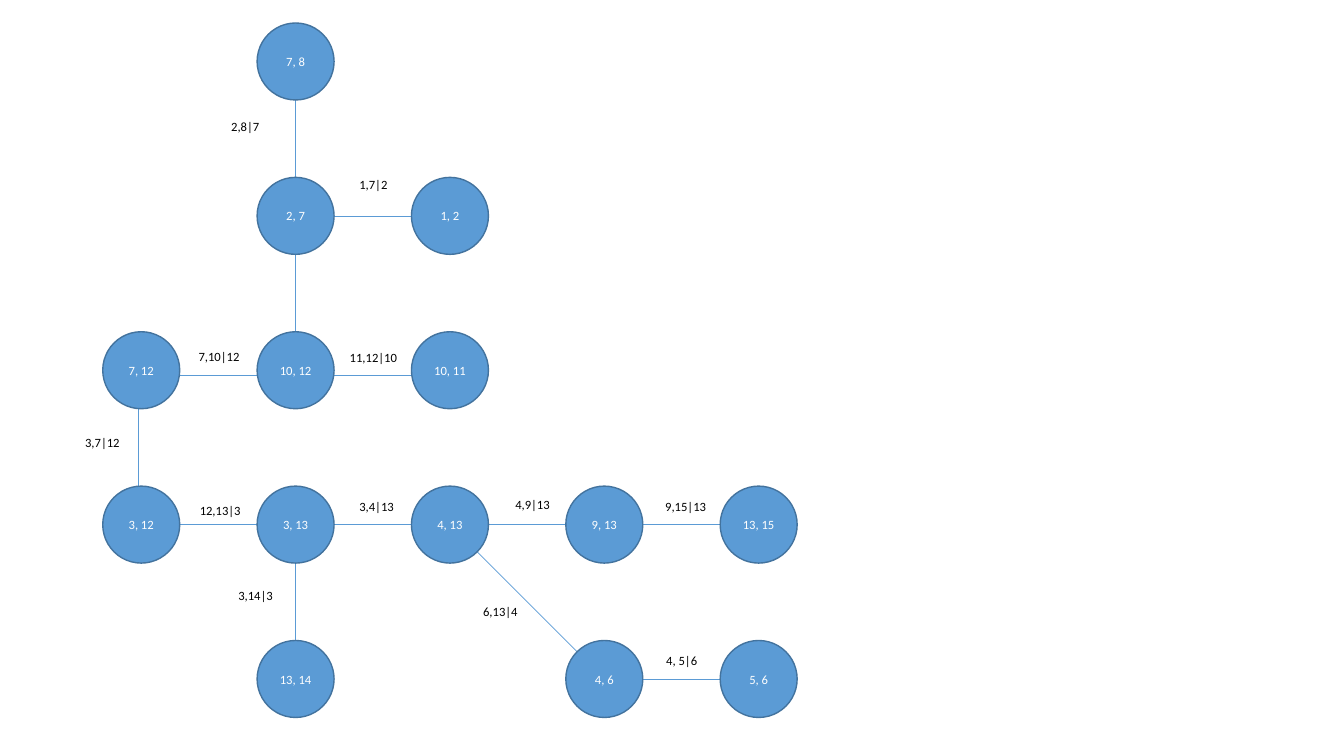
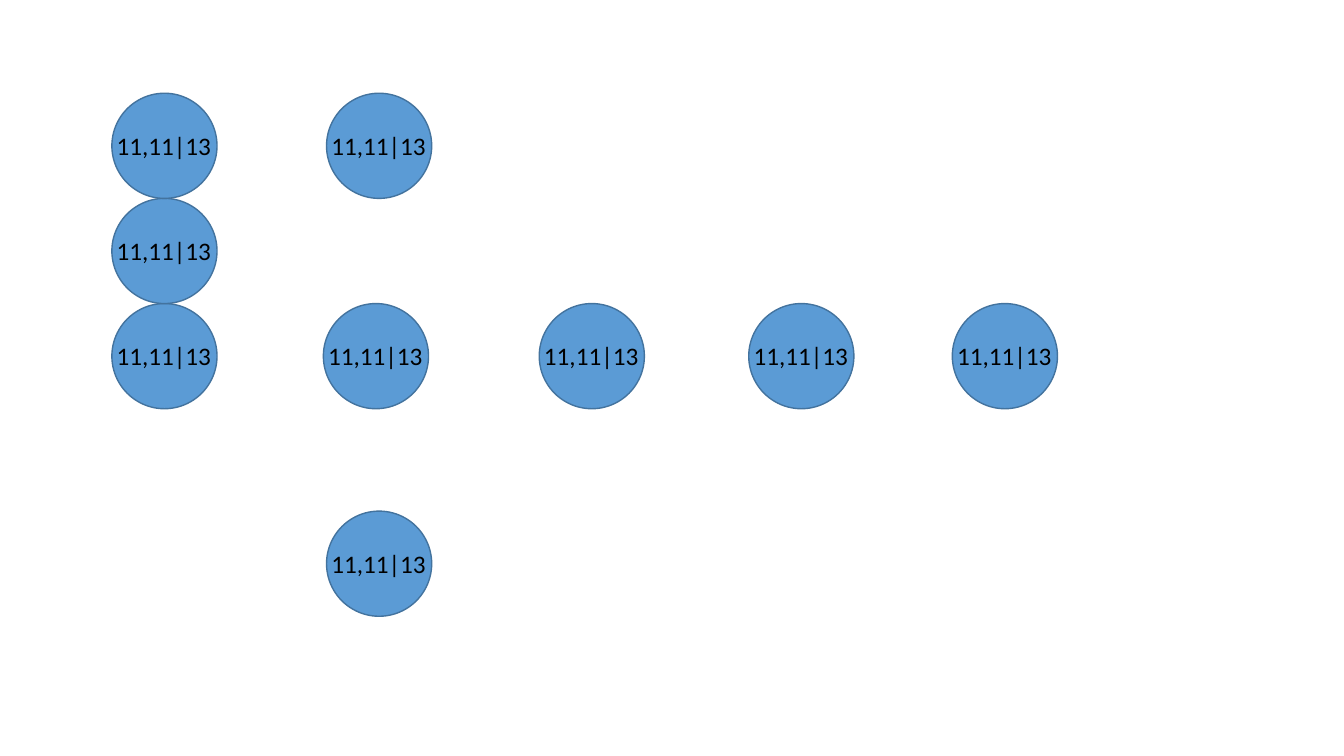
from lxml import etree
from pptx import Presentation
from pptx.dml.color import RGBColor
from pptx.enum.shapes import MSO_CONNECTOR, MSO_SHAPE
from pptx.enum.text import MSO_ANCHOR, MSO_AUTO_SIZE, PP_ALIGN
from pptx.oxml.ns import qn
from pptx.util import Cm, Pt

STRAIGHT = MSO_CONNECTOR.STRAIGHT
OVAL = MSO_SHAPE.OVAL
TOP, MIDDLE = MSO_ANCHOR.TOP, MSO_ANCHOR.MIDDLE
GROW = MSO_AUTO_SIZE.SHAPE_TO_FIT_TEXT
LEFT, CENTER = PP_ALIGN.LEFT, PP_ALIGN.CENTER

BLUE = RGBColor(0x5B, 0x9B, 0xD5)
DARK_BLUE = RGBColor(0x43, 0x73, 0x9E)
WHITE = RGBColor(0xFF, 0xFF, 0xFF)
BLACK = RGBColor(0x00, 0x00, 0x00)
FONT = "Calibri"

# Grid of the tree, in cm: centre of the first cell and distance between cells
FIRST_X, FIRST_Y, PITCH = 3.56, 1.55, 3.89
NODE_SIZE = 1.94
LABEL_WIDTH, LABEL_HEIGHT = 2.97, 0.64

# Clique: (column, row)
NODES = {
    "7, 12": (0, 2), "3, 12": (0, 3),
    "7, 8": (1, 0), "2, 7": (1, 1), "10, 12": (1, 2),
    "3, 13": (1, 3), "13, 14": (1, 4),
    "1, 2": (2, 1), "10, 11": (2, 2), "4, 13": (2, 3),
    "9, 13": (3, 3), "4, 6": (3, 4),
    "13, 15": (4, 3), "5, 6": (4, 4),
}

# Linked cliques, and the shift of the line from their centres in cm
EDGES = [
    ("7, 12", "3, 12", -0.08, 0),
    ("7, 12", "10, 12", 0, 0.12),
    ("10, 12", "10, 11", 0, 0.12),
    ("2, 7", "10, 12", 0, 0),
    ("7, 8", "2, 7", 0, 0),
    ("2, 7", "1, 2", 0, 0.02),
    ("3, 12", "3, 13", 0, 0),
    ("3, 13", "4, 13", 0, 0),
    ("4, 13", "9, 13", 0, 0),
    ("9, 13", "13, 15", 0, 0),
    ("4, 13", "4, 6", 0, 0),
    ("4, 6", "5, 6", 0, 0),
    ("3, 13", "13, 14", 0, 0),
]

# Independence statement and its centre in cm
EDGE_LABELS = [
    ("2,8|7", 6.18, 3.19), ("1,7|2", 9.41, 4.66),
    ("7,10|12", 5.52, 8.98), ("3,7|12", 2.58, 11.16),
    ("11,12|10", 9.41, 9.0), ("12,13|3", 5.55, 12.87),
    ("3,14|3", 6.44, 15.02), ("3,4|13", 9.49, 12.76),
    ("4,9|13", 13.42, 12.71), ("6,13|4", 12.61, 15.41),
    ("9,15|13", 17.28, 12.76), ("4, 5|6", 17.18, 16.65),
]

# Large circles: size, text and top left corners in cm
SPARE_SIZE = 2.65
SPARE_TEXT = "11,11|13"
SPARE_CORNERS = [
    (2.82, 7.65), (2.82, 5.0), (2.82, 2.35),
    (8.15, 7.65), (8.23, 2.35), (13.59, 7.65),
    (8.23, 12.88), (18.87, 7.65), (24.0, 7.65),
]


def write(frame, text, size=9, color=BLACK, align=CENTER, anchor=TOP):
    frame.word_wrap = True
    frame.vertical_anchor = anchor
    paragraph = frame.paragraphs[0]
    paragraph.alignment = align
    run = paragraph.add_run()
    run.text = text
    run.font.name = FONT
    run.font.size = Pt(size)
    run.font.color.rgb = color


def add_circle(shapes, left, top, size):
    circle = shapes.add_shape(OVAL, Cm(left), Cm(top), Cm(size), Cm(size))
    circle.shadow.inherit = False
    circle.fill.solid()
    circle.fill.fore_color.rgb = BLUE
    circle.line.color.rgb = DARK_BLUE
    circle.line.width = Pt(1)
    return circle


def add_label(shapes, text, left, top, width, height, **text_format):
    label = shapes.add_textbox(Cm(left), Cm(top), Cm(width), Cm(height))
    write(label.text_frame, text, **text_format)
    label.text_frame.auto_size = GROW


def cell_center(clique):
    column, row = NODES[clique]
    return FIRST_X + column * PITCH, FIRST_Y + row * PITCH


def add_edge(shapes, start, end, dx, dy):
    (x1, y1), (x2, y2) = cell_center(start), cell_center(end)
    edge = shapes.add_connector(
        STRAIGHT, Cm(x1 + dx), Cm(y1 + dy), Cm(x2 + dx), Cm(y2 + dy))
    edge.line.color.rgb = BLUE
    edge.line.width = Pt(0.5)
    etree.SubElement(edge.element.spPr, qn("a:effectLst"))


def add_node(shapes, clique):
    x, y = cell_center(clique)
    node = add_circle(shapes, x - NODE_SIZE / 2, y - NODE_SIZE / 2, NODE_SIZE)
    frame = node.text_frame
    frame.margin_left = frame.margin_right = 0
    write(frame, clique, color=WHITE, anchor=MIDDLE)


def build_tree(slide):
    tree = slide.shapes.add_group_shape().shapes
    # Lines lie behind the nodes
    for edge in EDGES:
        add_edge(tree, *edge)
    for clique in NODES:
        add_node(tree, clique)
    for text, x, y in EDGE_LABELS:
        add_label(tree, text, x - LABEL_WIDTH / 2, y - LABEL_HEIGHT / 2,
                  LABEL_WIDTH, LABEL_HEIGHT)


def build_spare_circles(slide):
    for left, top in SPARE_CORNERS:
        # Each circle is grouped with its text
        spare = slide.shapes.add_group_shape().shapes
        add_circle(spare, left, top, SPARE_SIZE)
        add_label(spare, SPARE_TEXT, left - 0.13, top + 0.81, 3.07, 1.02,
                  size=18, align=LEFT)


def main():
    prs = Presentation()
    prs.slide_width, prs.slide_height = Cm(33.87), Cm(19.05)
    blank = prs.slide_layouts[6]
    for build in (build_tree, build_spare_circles):
        build(prs.slides.add_slide(blank))
    prs.save("out.pptx")


if __name__ == "__main__":
    main()
